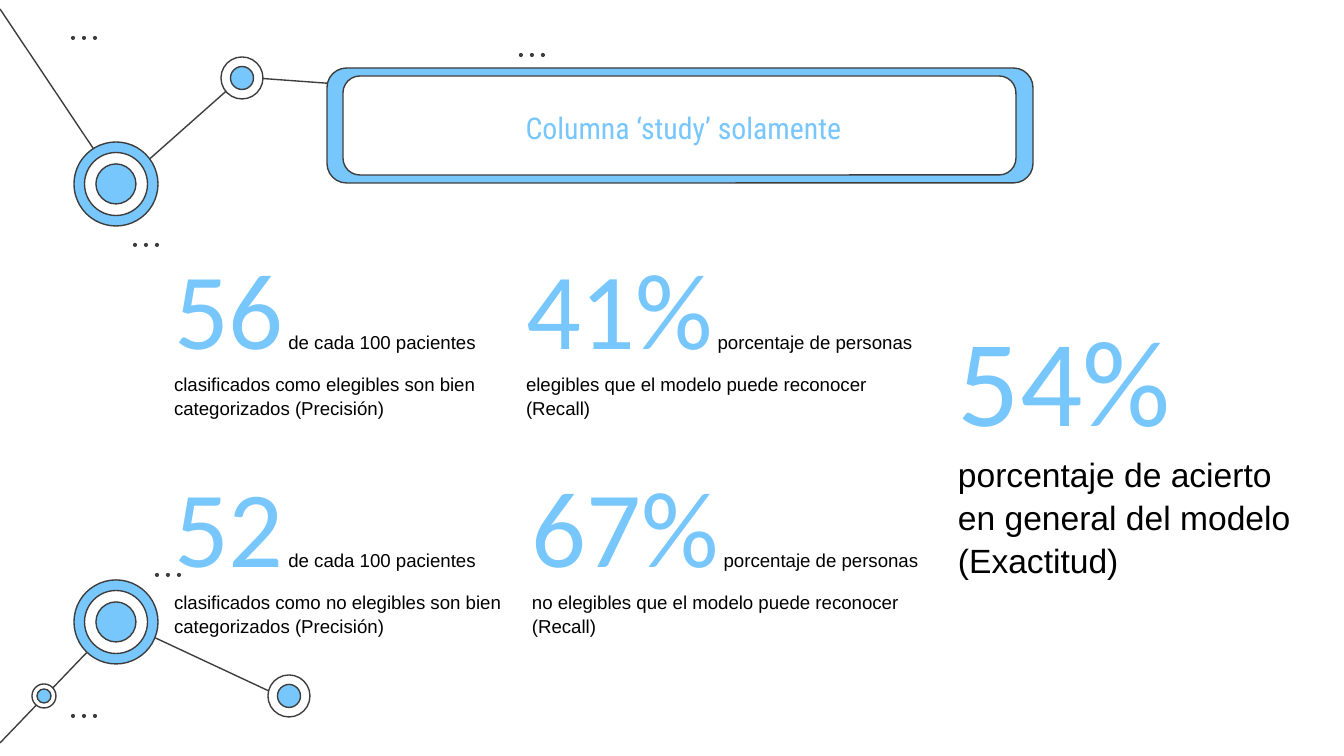
from lxml.etree import SubElement
from pptx import Presentation
from pptx.dml.color import RGBColor
from pptx.enum.shapes import MSO_CONNECTOR, MSO_SHAPE
from pptx.enum.text import MSO_ANCHOR, PP_ALIGN
from pptx.oxml.ns import qn
from pptx.util import Pt

SCALE = 9144000 / 1344
BLUE, DARK, WHITE, BLACK = "77C6FC", "3D3D3D", "FFFFFF", "000000"


def px(length):
    """Turn px into EMU."""
    return round(length * SCALE)


def color(value):
    """Turn a hex string into a colour."""
    return RGBColor.from_string(value)


class Board:
    """Holds the style and the current slide."""

    def __init__(self, page):
        """Start on a page."""
        self.page = page
        self.shapes = page.shapes

    def line(self, x1, y1, x2, y2):
        """Draw a thin dark line."""
        line = self.shapes.add_connector(
            MSO_CONNECTOR.STRAIGHT, px(x1), px(y1), px(x2), px(y2))
        line.line.color.rgb = color(DARK)
        line.line.width = Pt(0.75)
        SubElement(line._element.spPr, qn("a:effectLst"))

    def shape(self, kind, left, top, width, height, fill, outlined=True):
        """Draw a filled preset shape."""
        shape = self.shapes.add_shape(kind, px(left), px(top), px(width), px(height))
        shape.shadow.inherit = False
        shape.fill.solid()
        shape.fill.fore_color.rgb = color(fill)
        if outlined:
            shape.line.color.rgb = color(DARK)
            shape.line.width = Pt(0.75)
        else:
            shape.line.fill.background()
        return shape

    def node(self, x, y, rings):
        """Draw concentric circles from the outside in."""
        for size, fill in rings:
            self.shape(MSO_SHAPE.OVAL, x - size / 2, y - size / 2, size, size, fill)

    def dots(self, left, top):
        """Draw a row of three dots."""
        for index in range(3):
            self.shape(MSO_SHAPE.OVAL, left + 11 * index, top, 4, 4, DARK, False)

    def panel(self, left, top, width, height, fill):
        """Draw a rounded panel."""
        panel = self.shape(MSO_SHAPE.ROUNDED_RECTANGLE, left, top, width, height, fill)
        panel.adjustments[0] = 0.17

    def frame(self, box, anchor):
        """Set wrapping, margins and anchor of a text frame."""
        frame = box.text_frame
        frame.word_wrap = True
        frame.vertical_anchor = anchor
        frame.margin_left = frame.margin_right = px(13)
        frame.margin_top = frame.margin_bottom = px(13)
        return frame

    def style(self, font, size, name, fill):
        """Format a font."""
        font.size, font.name, font.bold = Pt(size), name, False
        font.color.rgb = color(fill)

    def title(self, text, left, top, width, height):
        """Place the title above the panels."""
        box = self.shapes.title
        self.shapes._spTree.append(box._element)
        box.left, box.top, box.width, box.height = map(px, (left, top, width, height))
        frame = self.frame(box, MSO_ANCHOR.MIDDLE)
        frame.text = text
        para = frame.paragraphs[0]
        para.alignment = PP_ALIGN.CENTER
        self.style(para.font, 16, "Roboto Condensed", BLUE)

    def figure(self, number, text, left, top, width, height, sizes, spacing):
        """Write a large number followed by its meaning."""
        box = self.shapes.add_textbox(px(left), px(top), px(width), px(height))
        para = self.frame(box, MSO_ANCHOR.TOP).paragraphs[0]
        para.line_spacing = spacing
        names = (("Calibri", BLUE), ("Arial", BLACK), ("Arial", BLACK))
        for words, size, (name, fill) in zip((number, " ", text), sizes, names):
            span = para.add_run()
            span.text = words
            self.style(span.font, size, name, fill)


def main():
    """Build the slide."""
    deck = Presentation()
    deck.slide_width, deck.slide_height = px(1344), px(756)
    board = Board(deck.slides.add_slide(deck.slide_layouts[5]))

    for ends in ((242, 77, 488, 95), (118, 187, 241, 78), (0, 9, 117, 184),
                 (117, 620, 286, 699), (0, 743, 117, 621)):
        board.line(*ends)

    large = ((84, BLUE), (63, WHITE), (40, BLUE))
    medium = ((42, WHITE), (23, BLUE))
    small = ((24, WHITE), (14, BLUE))
    for x, y, rings in ((116, 184, large), (242, 78, medium), (116, 622, large),
                        (289, 696, medium), (44, 696, small)):
        board.node(x, y, rings)
    for left, top in ((519, 53), (71, 36), (133, 243), (71, 714), (155, 573)):
        board.dots(left, top)

    board.panel(327, 68, 706, 115, BLUE)
    board.panel(343, 76, 673, 99, WHITE)
    board.title("Columna ‘study’ solamente", 347, 83, 673, 90)

    precision = "de cada 100 pacientes clasificados como {}elegibles son bien categorizados (Precisión)"
    recall = "porcentaje de personas {}elegibles que el modelo puede reconocer (Recall)"
    for number, text, prefix, left, top in (
            ("56", precision, "", 161, 219), ("52", precision, "no ", 161, 437),
            ("41%", recall, "", 513, 219), ("67%", recall, "no ", 519, 437)):
        board.figure(number, text.format(prefix), left, top, 419, 204, (58, 9, 10), 1.07)
    board.figure("54%", "porcentaje de acierto en general del modelo (Exactitud)",
                 945, 280, 376, 298, (66, 17, 18), 1.07)

    deck.save("out.pptx")


if __name__ == "__main__":
    main()
